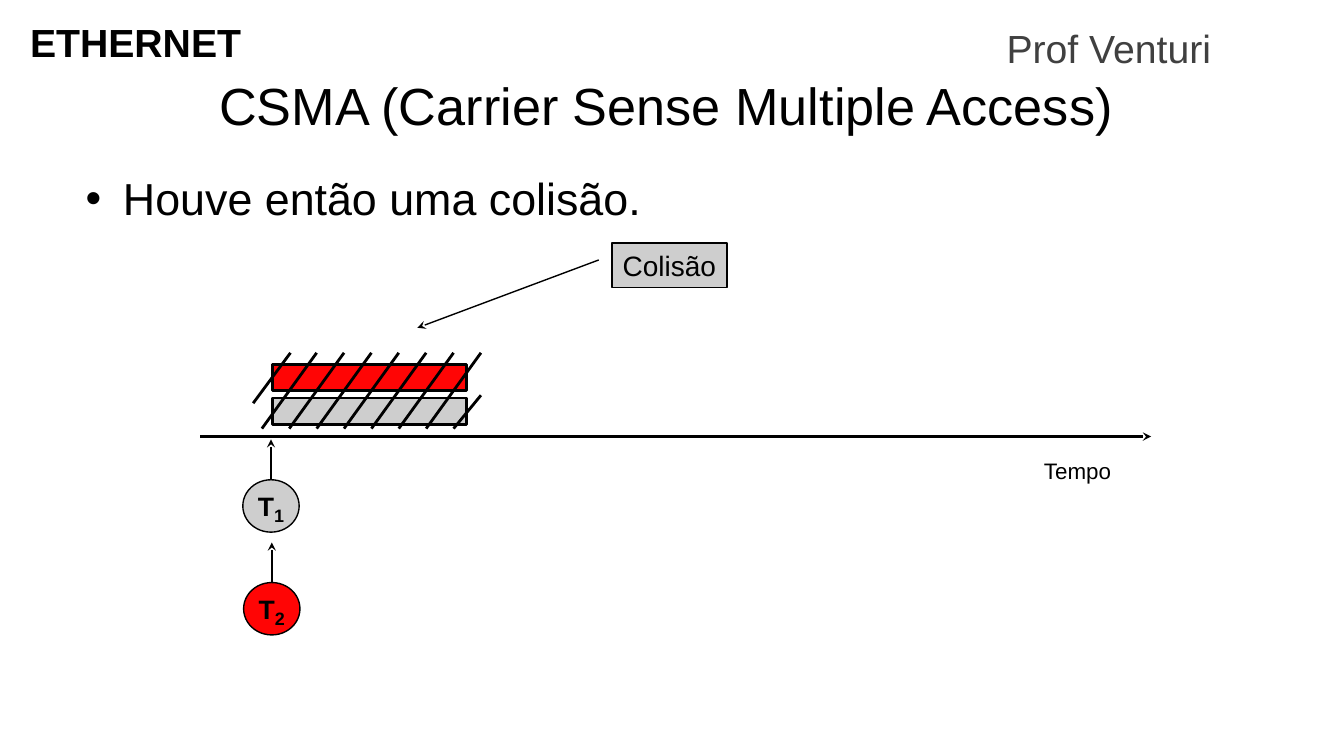
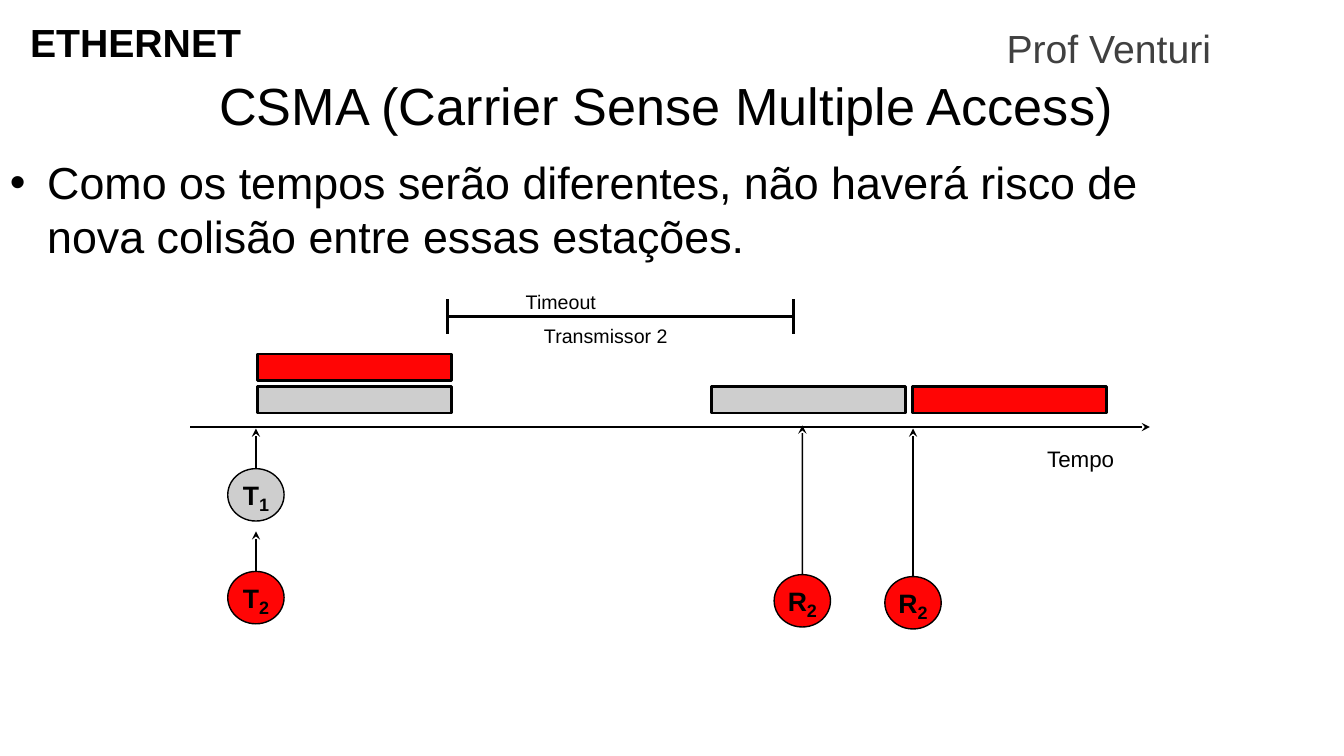
"""Build two slides about CSMA collisions and retransmission on a time axis."""
from pptx import Presentation
from pptx.dml.color import RGBColor
from pptx.enum.shapes import MSO_CONNECTOR, MSO_SHAPE
from pptx.enum.text import MSO_ANCHOR, PP_ALIGN
from pptx.oxml.ns import qn
from pptx.util import Cm, Pt
from lxml.etree import SubElement

FONT = "Arial"
COLORS = {"black": "000000", "gray": "CECECE", "red": "FF0505", "teacher": "404040"}
FRAME_WIDTH, FRAME_HEIGHT = 4.9, 0.66
CIRCLE_WIDTH, CIRCLE_HEIGHT = 1.42, 1.32
BULLET_INDENT = 0.94
HATCH_COUNT, HATCH_STEP = 7, 0.69
HATCH_LEFT, HATCH_TOP, HATCH_BOTTOM = 6.6, 8.89, 10.8

HEADER = [
    {"text": "ETHERNET", "box": (0.51, 0.34, 14.4, 1.4), "size": 28, "bold": True},
    {"text": "Prof Venturi", "box": (23.65, 0.48, 8.59, 1.4), "size": 28,
     "color": "teacher", "align": PP_ALIGN.CENTER},
    {"text": "CSMA (Carrier Sense Multiple Access)", "box": (0.84, 1.73, 31.9, 1.9),
     "size": 37.3, "align": PP_ALIGN.CENTER},
]

HATCH = [
    (6.38, 10.16, 7.32, HATCH_TOP),
    *[(HATCH_LEFT + i * HATCH_STEP, HATCH_BOTTOM, HATCH_LEFT + (i + 2) * HATCH_STEP, HATCH_TOP)
      for i in range(HATCH_COUNT)],
    (11.43, HATCH_BOTTOM, 12.12, 9.96),
]

TIMEOUT_START, TIMEOUT_END = 11.28, 19.99
TIMEOUT_BRACKET = [
    (TIMEOUT_START, 7.98, TIMEOUT_END, 7.98),
    *[(x, 7.54, x, 8.41) for x in (TIMEOUT_START, TIMEOUT_END)],
]

SLIDES = [
    {
        "bullet": ("Houve então uma colisão.", (1.91, 4.18, 31.95, 2)),
        "axis": (5.05, 11, 29.01, 11),
        "labels": [("Tempo", 26.06, 11.4, 16)],
        "frames": [("gray", 6.86, 10.03), ("red", 6.86, 9.19)],
        "stations": [("T", "1", "gray", 6.83, 12.09, 11.07),
                     ("T", "2", "red", 6.85, 14.68, 13.67)],
        "lines": HATCH,
        "callout": ("Colisão", (15.42, 6.12, 2.9, 1.12), (15.09, 6.55, 10.52, 8.26)),
    },
    {
        "bullet": ("Como os tempos serão diferentes, não haverá risco de nova colisão "
                   "entre essas estações.", (0, 3.78, 30.4, 3.2)),
        "axis": (4.8, 10.76, 28.98, 10.76),
        "labels": [("Tempo", 26.14, 11.1, 16), ("Timeout", 13, 7.19, 14),
                   ("Transmissor 2", 13.46, 8.03, 14)],
        "frames": [("gray", 6.48, 9.75), ("red", 6.48, 8.92),
                   ("gray", 17.93, 9.75), ("red", 22.99, 9.75)],
        "stations": [("T", "1", "gray", 6.45, 11.81, 10.8),
                     ("T", "2", "red", 6.45, 14.4, 13.39),
                     ("R", "2", "red", 20.22, 14.48, 10.72),
                     ("R", "2", "red", 23.01, 14.53, 10.8)],
        "lines": TIMEOUT_BRACKET,
    },
]


def rgb(name):
    return RGBColor.from_string(COLORS[name])


def format_run(run, size, bold=False, color="black"):
    run.font.name = FONT
    run.font.size = Pt(size)
    run.font.bold = bold
    run.font.color.rgb = rgb(color)


def add_text(slide, text, box, size, bold=False, color="black", align=PP_ALIGN.LEFT):
    text_frame = slide.shapes.add_textbox(*map(Cm, box)).text_frame
    text_frame.word_wrap = True
    paragraph = text_frame.paragraphs[0]
    paragraph.text = text
    paragraph.alignment = align
    format_run(paragraph.runs[0], size, bold, color)
    return paragraph


def add_bullet(slide, text, box):
    properties = add_text(slide, text, box, 32)._p.get_or_add_pPr()
    properties.set("marL", str(Cm(BULLET_INDENT)))
    properties.set("indent", str(-Cm(BULLET_INDENT)))
    SubElement(properties, qn("a:buFont")).set("typeface", FONT)
    SubElement(properties, qn("a:buChar")).set("char", "•")


def add_line(slide, ends, width, arrow=False):
    connector = slide.shapes.add_connector(MSO_CONNECTOR.STRAIGHT, *map(Cm, ends))
    connector.line.color.rgb = rgb("black")
    connector.line.width = Pt(width)
    properties = connector._element.spPr
    if arrow:
        SubElement(properties.find(qn("a:ln")), qn("a:tailEnd")).set("type", "stealth")
    SubElement(properties, qn("a:effectLst"))
    return connector


def add_box(slide, kind, box, fill, line_width):
    shape = slide.shapes.add_shape(kind, *map(Cm, box))
    shape.shadow.inherit = False
    shape.fill.solid()
    shape.fill.fore_color.rgb = rgb(fill)
    shape.line.color.rgb = rgb("black")
    shape.line.width = Pt(line_width)
    return shape


def center_text(shape):
    text_frame = shape.text_frame
    text_frame.word_wrap = False
    text_frame.vertical_anchor = MSO_ANCHOR.MIDDLE
    text_frame.margin_left = text_frame.margin_right = 0
    text_frame.margin_top = text_frame.margin_bottom = 0
    paragraph = text_frame.paragraphs[0]
    paragraph.alignment = PP_ALIGN.CENTER
    return paragraph


def add_station(slide, letter, number, fill, center, top, tip):
    box = (center - CIRCLE_WIDTH / 2, top, CIRCLE_WIDTH, CIRCLE_HEIGHT)
    circle = add_box(slide, MSO_SHAPE.OVAL, box, fill, 1)
    paragraph = center_text(circle)
    for text, size in ((letter, 19), (number, 22)):
        run = paragraph.add_run()
        run.text = text
        format_run(run, size, bold=True)
    run.font._element.set("baseline", "-18000")
    arrow = add_line(slide, (center, top, center, tip), 1, arrow=True)
    arrow.begin_connect(circle, 0)


def add_callout(slide, text, box, pointer):
    paragraph = center_text(add_box(slide, MSO_SHAPE.RECTANGLE, box, "gray", 1))
    paragraph.text = text
    format_run(paragraph.runs[0], 20)
    add_line(slide, pointer, 1, arrow=True)


def build_slide(presentation, content):
    slide = presentation.slides.add_slide(presentation.slide_layouts[6])
    for item in HEADER:
        add_text(slide, **item)
    add_bullet(slide, *content["bullet"])
    add_line(slide, content["axis"], 2, arrow=True)
    for text, left, top, size in content["labels"]:
        add_text(slide, text, (left, top, 4, 0.9), size)
    for fill, left, top in content["frames"]:
        add_box(slide, MSO_SHAPE.RECTANGLE, (left, top, FRAME_WIDTH, FRAME_HEIGHT), fill, 2)
    for station in content["stations"]:
        add_station(slide, *station)
    for ends in content["lines"]:
        add_line(slide, ends, 2)
    if "callout" in content:
        add_callout(slide, *content["callout"])


def main():
    presentation = Presentation()
    presentation.slide_width = Cm(33.87)
    presentation.slide_height = Cm(19.05)
    for content in SLIDES:
        build_slide(presentation, content)
    presentation.save("out.pptx")


if __name__ == "__main__":
    main()
